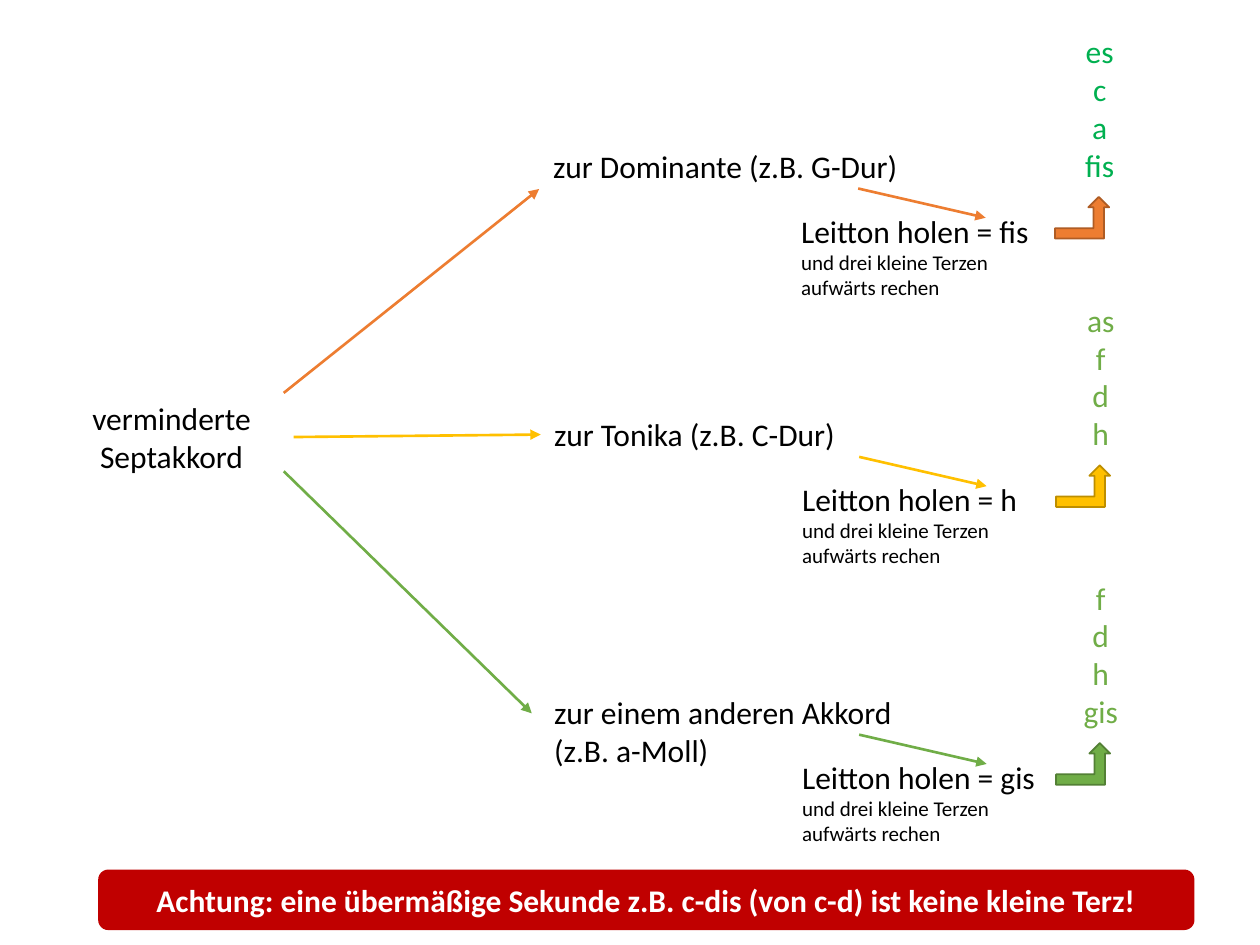
from dataclasses import dataclass

from lxml import etree
from pptx import Presentation
from pptx.dml.color import RGBColor
from pptx.enum import shapes, text
from pptx.oxml import ns
from pptx.util import Cm, Pt

FONT = "Calibri"
BLACK, WHITE, RED = "000000", "FFFFFF", "C00000"
ORANGE, YELLOW, GREEN, BRIGHT_GREEN = "ED7D31", "FFC000", "70AD47", "00B050"


@dataclass
class Line:
    text: str
    size: int = 18
    color: str = BLACK
    bold: bool = False


@dataclass
class Branch:
    """One route from the chord; x and y are the corner of its label, in cm."""
    x: float
    y: float
    label: str
    label_height: float
    leading_tone: str
    tones: list[str]
    tone_color: str
    color: str
    outline: str
    arrow_start: tuple[float, float]
    arrow_end: tuple[float, float]


BRANCHES = [
    Branch(10.9, 2.84, "zur Dominante (z.B. G-Dur)", 1.02, "fis",
           ["es", "c", "a", "fis"], BRIGHT_GREEN, ORANGE, "AF5C24",
           (5.72, 7.92), (10.87, 3.81)),
    Branch(10.92, 8.25, "zur Tonika (z.B. C-Dur)", 1.02, "h",
           ["as", "f", "d", "h"], GREEN, YELLOW, "BD8E00",
           (5.92, 8.81), (10.9, 8.76)),
    Branch(10.92, 13.85, "zur einem anderen Akkord (z.B. a-Moll)", 1.8, "gis",
           ["f", "d", "h", "gis"], GREEN, GREEN, "538035",
           (5.72, 9.5), (10.72, 14.38)),
]


def rgb(value: str) -> RGBColor:
    return RGBColor.from_string(value)


def write(tf, lines: list[Line], align=text.PP_ALIGN.LEFT) -> None:
    tf.word_wrap = True
    for i, line in enumerate(lines):
        p = tf.paragraphs[0] if i == 0 else tf.add_paragraph()
        p.alignment = align
        r = p.add_run()
        r.text = line.text
        r.font.name = FONT
        r.font.size = Pt(line.size)
        r.font.bold = line.bold
        r.font.color.rgb = rgb(line.color)


def add_text(s, x: float, y: float, width: float, height: float,
             lines: list[Line], align=text.PP_ALIGN.LEFT) -> None:
    box = s.shapes.add_textbox(Cm(x), Cm(y), Cm(width), Cm(height))
    write(box.text_frame, lines, align)


def add_arrow(s, start: tuple[float, float], end: tuple[float, float],
              color: str) -> None:
    arrow = s.shapes.add_connector(shapes.MSO_CONNECTOR.STRAIGHT,
                                   *map(Cm, start), *map(Cm, end))
    arrow.line.color.rgb = rgb(color)
    arrow.line.width = Pt(1.5)
    properties = arrow.element.spPr
    etree.SubElement(properties.find(ns.qn("a:ln")), ns.qn("a:tailEnd"),
                     type="triangle")
    etree.SubElement(properties, ns.qn("a:effectLst"))


def add_shape(s, kind, x: float, y: float, width: float, height: float,
              fill: str, outline: str | None = None):
    sp = s.shapes.add_shape(kind, Cm(x), Cm(y), Cm(width), Cm(height))
    sp.shadow.inherit = False
    sp.fill.solid()
    sp.fill.fore_color.rgb = rgb(fill)
    if outline:
        sp.line.color.rgb = rgb(outline)
        sp.line.width = Pt(1)
    else:
        sp.line.fill.background()
    return sp


def add_branch(s, b: Branch) -> None:
    x, y = b.x, b.y
    add_arrow(s, b.arrow_start, b.arrow_end, b.color)
    add_text(s, x, y, 7.62, b.label_height, [Line(b.label)])
    add_text(s, x + 5, y + 1.3, 5.44, 2.06,
             [Line(f"Leitton holen = {b.leading_tone}"),
              Line("und drei kleine Terzen aufwärts rechen", size=12)])
    add_arrow(s, (x + 6.4, y + 0.96), (x + 8.97, y + 1.55), b.color)
    add_shape(s, shapes.MSO_SHAPE.BENT_UP_ARROW, x + 10.37, y + 1.13,
              1.09, 0.84, b.color, b.outline)
    add_text(s, x + 10.62, y - 2.31, 1.3, 3.33,
             [Line(tone, color=b.tone_color) for tone in b.tones],
             text.PP_ALIGN.CENTER)


def main() -> None:
    prs = Presentation()
    prs.slide_width, prs.slide_height = Cm(25.4), Cm(19.05)
    s = prs.slides.add_slide(prs.slide_layouts[6])

    add_text(s, 1.2, 7.92, 4.52, 1.8, [Line("verminderte Septakkord")],
             text.PP_ALIGN.CENTER)
    for branch in BRANCHES:
        add_branch(s, branch)

    warning = add_shape(s, shapes.MSO_SHAPE.ROUNDED_RECTANGLE,
                        1.98, 17.53, 22.1, 1.22, RED)
    warning.text_frame.vertical_anchor = text.MSO_ANCHOR.MIDDLE
    write(warning.text_frame,
          [Line("Achtung: eine übermäßige Sekunde z.B. c-dis (von c-d) "
                "ist keine kleine Terz!", color=WHITE, bold=True)],
          text.PP_ALIGN.CENTER)

    prs.save("out.pptx")


if __name__ == "__main__":
    main()
